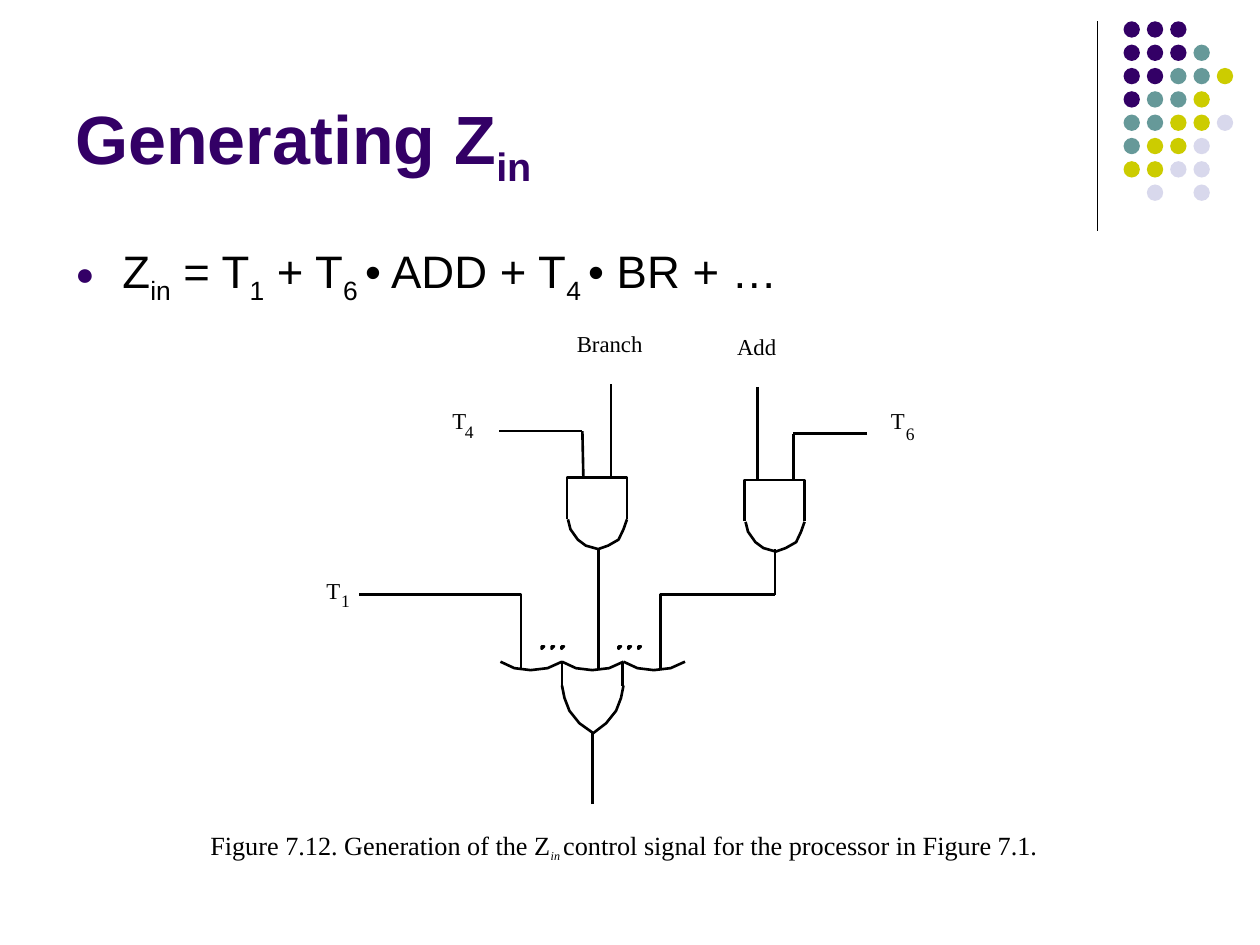
from lxml import etree
from pptx import Presentation
from pptx.dml.color import RGBColor
from pptx.enum.shapes import MSO_CONNECTOR, MSO_SHAPE
from pptx.enum.text import MSO_ANCHOR
from pptx.oxml.ns import qn
from pptx.util import Cm, Pt

STRAIGHT = MSO_CONNECTOR.STRAIGHT
OVAL = MSO_SHAPE.OVAL
BOTTOM = MSO_ANCHOR.BOTTOM
TOP = MSO_ANCHOR.TOP

BLACK = RGBColor(0x00, 0x00, 0x00)
PURPLE = RGBColor(0x33, 0x00, 0x66)
TEAL = RGBColor(0x66, 0x99, 0x99)
OLIVE = RGBColor(0xCC, 0xCC, 0x00)
PALE = RGBColor(0xD8, 0xD8, 0xEC)

SANS = "Arial"
SERIF = "Times New Roman"

TINTS = {"P": PURPLE, "T": TEAL, "O": OLIVE, "L": PALE}
DOTS = ["PPP", "PPPT", "PPTTO", "PTTO", "TTOOL", "TOOL", "OOLL", " L L"]

ARC = [(0, 0), (0.05, 0.2), (0.2, 0.41), (0.36, 0.53), (0.61, 0.6),
       (0.81, 0.53), (1.02, 0.41), (1.12, 0.2), (1.19, 0)]
CUP = [(0, 0.83), (0, 0), (1.21, 0), (1.21, 0.83)]
WAVE = [(0, 0), (0.28, 0.13), (0.61, 0.17), (0.95, 0.13), (1.24, 0)]
BOWL = [(0, 0), (0.05, 0.25), (0.15, 0.51), (0.35, 0.76), (0.63, 0.96),
        (0.89, 0.76), (1.09, 0.51), (1.19, 0.25), (1.24, 0)]
SPECK = [(0, 0), (0, 0.05), (0.05, 0)]

WIRES = [
    [(15.62, 11.99), (15.62, 11.07)],
    [(12.07, 13.51), (12.07, 11.07)],
    [(13.31, 13.51), (13.31, 11.99), (15.62, 11.99)],
    [(10.5, 13.51), (10.5, 11.99), (7.24, 11.99)],
    [(15.27, 7.8), (15.27, 9.68)],
    [(16, 9.68), (16, 8.74)],
    [(17.48, 8.74), (15.98, 8.74)],
    [(11.74, 8.69), (10.06, 8.69)],
    [(11.74, 8.69), (11.76, 9.63)],
    [(12.32, 9.63), (12.32, 7.75)],
    [(11.94, 16.21), (11.94, 14.78)],
]

LABELS = [
    ("Branch", 11.63, 6.65, 1.45, 13),
    ("Add", 14.86, 6.71, 0.81, 13),
    ("T", 9.12, 8.2, 0.28, 13), ("4", 9.37, 8.48, 0.2, 10),
    ("T", 17.96, 8.2, 0.28, 13), ("6", 18.26, 8.53, 0.2, 10),
    ("T", 6.58, 11.63, 0.28, 13), ("1", 6.88, 11.89, 0.2, 10),
]


def add_line(slide, start, end, width=1.5):
    line = slide.shapes.add_connector(
        STRAIGHT, *[Cm(v) for v in (*start, *end)])
    line.line.color.rgb = BLACK
    line.line.width = Pt(width)
    etree.SubElement(line._element.spPr, qn("a:effectLst"))


def add_path(slide, points, left=0, top=0, close=False):
    spots = [(Cm(left + x), Cm(top + y)) for x, y in points]
    pen = slide.shapes.build_freeform(*spots[0])
    pen.add_line_segments(spots[1:], close=close)
    path = pen.convert_to_shape()
    path.shadow.inherit = False
    path.fill.background()
    path.line.color.rgb = BLACK
    path.line.width = Pt(1.5)


def add_text(slide, box, parts, size, font, color=BLACK, bold=False,
             inset=True, anchor=TOP):
    frame = slide.shapes.add_textbox(*[Cm(v) for v in box]).text_frame
    frame.word_wrap = inset
    frame.vertical_anchor = anchor
    if not inset:
        frame.margin_left = frame.margin_right = 0
        frame.margin_top = frame.margin_bottom = 0
    para = frame.paragraphs[0]
    for index, part in enumerate(parts):
        run = para.add_run()
        run.text = part
        run.font.name = font
        run.font.size = Pt(size)
        run.font.bold = bold
        run.font.color.rgb = color
        if index % 2:
            run._r.get_or_add_rPr().set("baseline", "-25000")
    return para


def add_bullet(para):
    para.space_before = Pt(5)
    props = para._p.get_or_add_pPr()
    props.set("marL", str(Cm(0.95)))
    props.set("indent", str(-Cm(0.95)))
    tint = etree.SubElement(props, qn("a:buClr"))
    etree.SubElement(tint, qn("a:srgbClr"), val=str(PURPLE))
    etree.SubElement(props, qn("a:buSzPct"), val="70000")
    etree.SubElement(props, qn("a:buFont"), typeface=SANS)
    etree.SubElement(props, qn("a:buChar"), char="●")


def add_dots(slide):
    for row, marks in enumerate(DOTS):
        for col, mark in enumerate(marks):
            if mark in TINTS:
                dot = slide.shapes.add_shape(
                    OVAL, Cm(22.65 + 0.47 * col), Cm(0.43 + 0.47 * row),
                    Cm(0.33), Cm(0.33))
                dot.shadow.inherit = False
                dot.fill.solid()
                dot.fill.fore_color.rgb = TINTS[mark]
                dot.line.fill.background()


def add_and(slide, left, top):
    add_path(slide, ARC, left + 0.02, top + 0.84)
    add_path(slide, CUP, left, top)


def add_or(slide, left, top):
    for step in (-1, 0, 1):
        add_path(slide, WAVE, left + 1.24 * step, top)
    for side in (left, left + 1.22):
        add_line(slide, (side, top), (side, top + 0.48))
    add_path(slide, BOWL, left, top + 0.48)


def add_specks(slide, left, top):
    for step in range(3):
        add_path(slide, SPECK, left + 0.2 * step, top, close=True)


def main():
    deck = Presentation()
    deck.slide_width, deck.slide_height = Cm(25.4), Cm(19.05)
    slide = deck.slides.add_slide(deck.slide_layouts[6])

    add_line(slide, (22.12, 0.43), (22.12, 4.65), 0.75)
    add_dots(slide)
    add_text(slide, (1.27, 0.33, 20.96, 3.61), ["Generating Z", "in"],
             39, SANS, PURPLE, bold=True, anchor=BOTTOM)
    body = add_text(
        slide, (1.27, 4.78, 22.86, 1.37),
        ["Z", "in", " = T", "1", " + T", "6 ", "• ADD + T", "4 ",
         "• BR + …"], 26, SANS)
    add_bullet(body)

    add_and(slide, 11.43, 9.63)
    add_and(slide, 15.01, 9.68)
    add_or(slide, 11.33, 13.34)
    for wire in WIRES:
        if len(wire) == 2:
            add_line(slide, *wire)
        else:
            add_path(slide, wire)
    for left in (10.92, 12.47):
        add_specks(slide, left, 13.03)
    for text, left, top, width, size in LABELS:
        add_text(slide, (left, top, width, size * 0.04), [text], size,
                 SERIF, inset=False)

    note = add_text(
        slide, (4.24, 16.71, 18.36, 1.27),
        ["Figure 7.12. Generation of the Z", "in ",
         "control signal for the processor in Figure 7.1."],
        15, SERIF, inset=False)
    note.runs[1].font.size = Pt(12)
    note.runs[1].font.italic = True

    deck.save("out.pptx")


if __name__ == "__main__":
    main()
